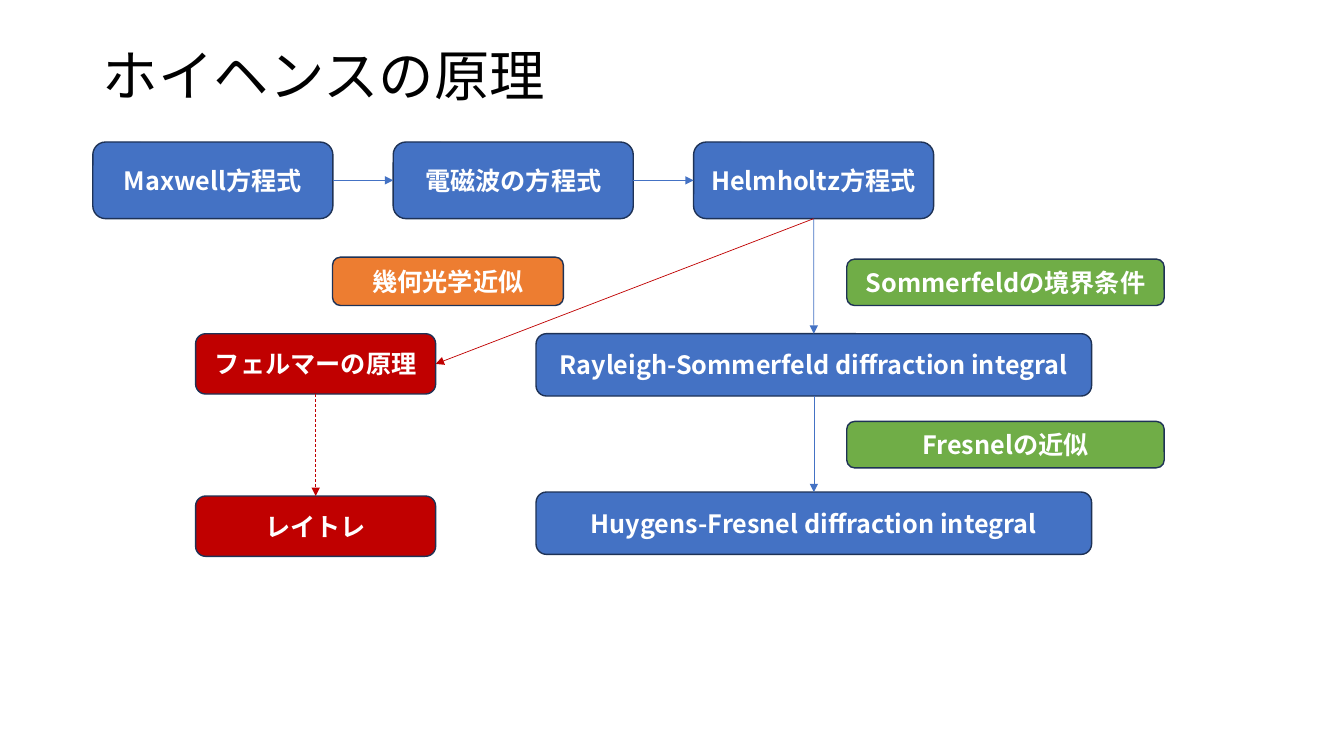
from dataclasses import dataclass

from lxml.etree import SubElement
from pptx import Presentation
from pptx.dml.color import RGBColor
from pptx.enum.dml import MSO_LINE_DASH_STYLE as DASH
from pptx.enum.shapes import MSO_CONNECTOR, MSO_SHAPE
from pptx.enum.text import MSO_ANCHOR, PP_ALIGN
from pptx.oxml.ns import qn
from pptx.util import Cm, Pt


@dataclass(frozen=True)
class Theme:
    font: str = "Noto Sans CJK JP"
    title_size: float = 39.6
    box_size: float = 18
    black: str = "000000"
    white: str = "FFFFFF"
    outline: str = "1E3256"
    blue: str = "4472C4"
    green: str = "70AD47"
    red: str = "C00000"
    orange: str = "ED7D31"


THEME = Theme()
TOP, LEFT, BOTTOM, RIGHT = range(4)  # connection sites of a rounded rectangle


def rgb(value):
    return RGBColor.from_string(value)


def add_run(p, text, size, color, bold=False):
    r = p.add_run()
    r.text = text
    r.font.size = Pt(size)
    r.font.bold = bold
    r.font.color.rgb = rgb(color)
    r.font.name = THEME.font
    SubElement(r.font._element, qn("a:ea")).set("typeface", THEME.font)


def add_title(s, text):
    tf = s.shapes.add_textbox(Cm(2.34), Cm(1.02), Cm(29.21), Cm(1.93)).text_frame
    tf.word_wrap = True
    tf.vertical_anchor = MSO_ANCHOR.MIDDLE
    p = tf.paragraphs[0]
    p.line_spacing = 0.9
    add_run(p, text, THEME.title_size, THEME.black)


def add_box(s, text, left, top, width, height, color):
    sp = s.shapes.add_shape(MSO_SHAPE.ROUNDED_RECTANGLE,
                            Cm(left), Cm(top), Cm(width), Cm(height))
    sp.shadow.inherit = False
    sp.fill.solid()
    sp.fill.fore_color.rgb = rgb(color)
    sp.line.color.rgb = rgb(THEME.outline)
    sp.line.width = Pt(1)
    tf = sp.text_frame
    tf.word_wrap = True
    tf.vertical_anchor = MSO_ANCHOR.MIDDLE
    p = tf.paragraphs[0]
    p.alignment = PP_ALIGN.CENTER
    add_run(p, text, THEME.box_size, THEME.white, bold=True)
    return sp


def add_arrow(s, start, start_site, end, end_site, color, dash=None):
    """Join two boxes at the given connection sites, with a head at the end."""
    cn = s.shapes.add_connector(MSO_CONNECTOR.STRAIGHT, 0, 0, 0, 0)
    cn.begin_connect(start, start_site)
    cn.end_connect(end, end_site)
    cn.line.color.rgb = rgb(color)
    cn.line.width = Pt(0.5)
    if dash:
        cn.line.dash_style = dash
    SubElement(cn.line._get_or_add_ln(), qn("a:tailEnd")).set("type", "triangle")
    SubElement(cn._element.spPr, qn("a:effectLst"))


def main():
    prs = Presentation()
    prs.slide_width, prs.slide_height = Cm(33.87), Cm(19.05)
    s = prs.slides.add_slide(prs.slide_layouts[6])
    add_title(s, "ホイヘンスの原理")

    equations = ("Maxwell方程式", "電磁波の方程式", "Helmholtz方程式")
    maxwell, wave, helmholtz = [
        add_box(s, text, 2.34 + 7.57 * i, 3.58, 6.05, 1.93, THEME.blue)
        for i, text in enumerate(equations)]
    rayleigh, huygens = [
        add_box(s, f"{name} diffraction integral", 13.51, top, 14, 1.57, THEME.blue)
        for name, top in (("Rayleigh-Sommerfeld", 8.41), ("Huygens-Fresnel", 12.4))]
    fermat, ray_tracing = [
        add_box(s, text, 4.93, top, 6.05, 1.52, THEME.red)
        for text, top in (("フェルマーの原理", 8.41), ("レイトレ", 12.5))]
    for text, top in (("Sommerfeldの境界条件", 6.53), ("Fresnelの近似", 10.62)):
        add_box(s, text, 21.34, top, 8, 1.17, THEME.green)

    add_arrow(s, maxwell, RIGHT, wave, LEFT, THEME.blue)
    add_arrow(s, wave, RIGHT, helmholtz, LEFT, THEME.blue)
    add_arrow(s, helmholtz, BOTTOM, rayleigh, TOP, THEME.blue)
    add_arrow(s, rayleigh, BOTTOM, huygens, TOP, THEME.blue)
    add_arrow(s, helmholtz, BOTTOM, fermat, RIGHT, THEME.red)
    add_arrow(s, fermat, BOTTOM, ray_tracing, TOP, THEME.red, DASH.DASH)
    add_box(s, "幾何光学近似", 8.38, 6.48, 5.82, 1.22, THEME.orange)

    prs.save("out.pptx")


if __name__ == "__main__":
    main()
